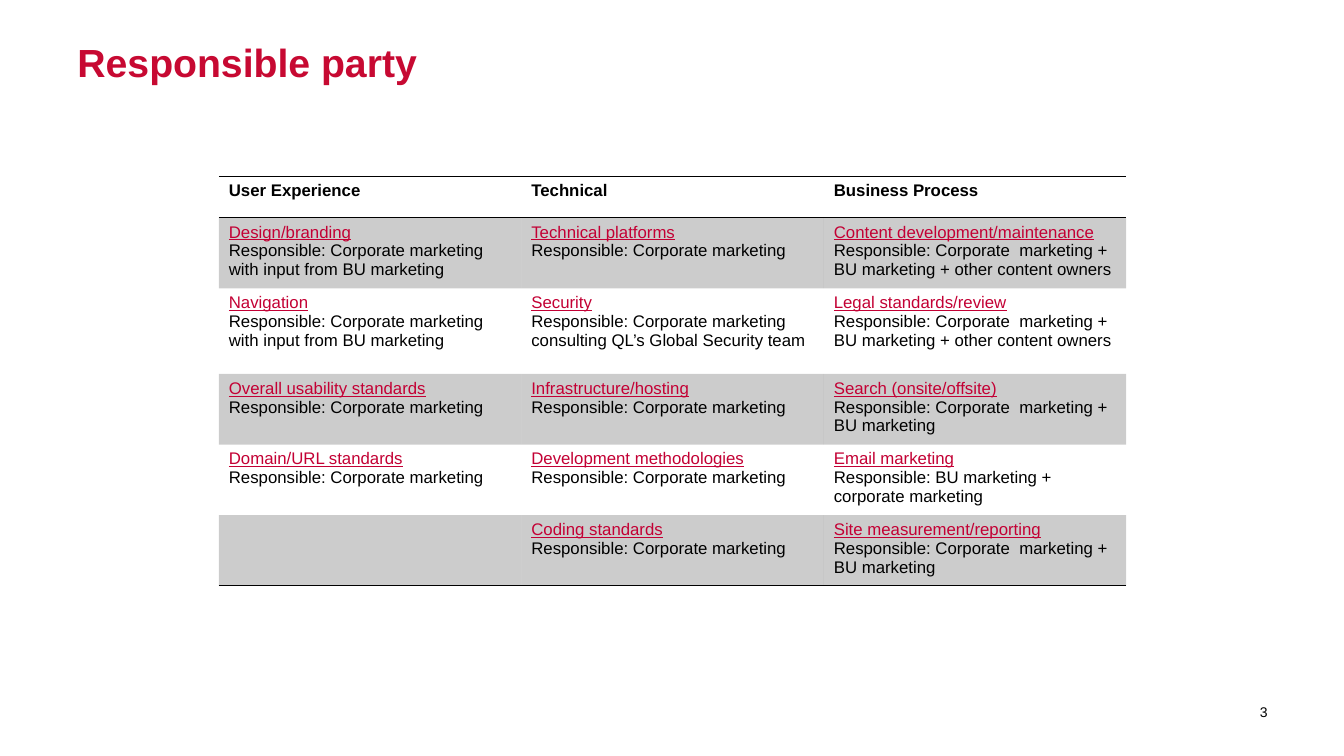
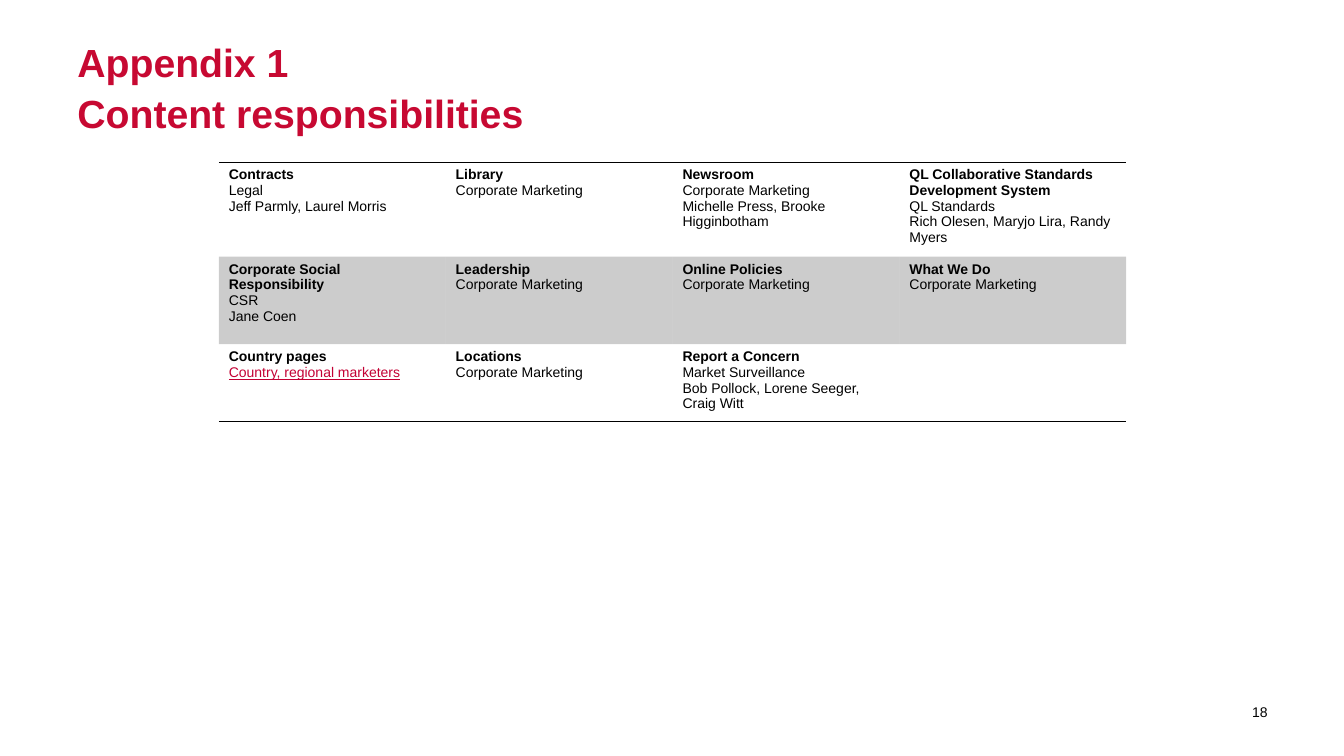
"""Build two slides of responsibility tables with a shared title, table and page number style."""
from lxml import etree
from pptx import Presentation
from pptx.dml.color import RGBColor
from pptx.enum.text import MSO_ANCHOR, PP_ALIGN
from pptx.oxml.ns import qn
from pptx.util import Inches, Pt

LEFT, RIGHT = PP_ALIGN.LEFT, PP_ALIGN.RIGHT
TOP, MIDDLE = MSO_ANCHOR.TOP, MSO_ANCHOR.MIDDLE
NO_STYLE = "{2D5ABB26-0587-4C30-8999-92F81FD0307C}"
THEME = {
    "font": "Arial",
    "title": RGBColor.from_string("C70932"),
    "link": RGBColor.from_string("C30034"),
    "ink": RGBColor.from_string("000000"),
    "band_alpha": 20,
    "rule": Pt(1),
    "title_size": 28,
    "page_size": 10,
}
TABLE_LEFT, TABLE_WIDTH = 2.17, 9

CORPORATE = "Responsible: Corporate marketing"
WITH_INPUT = CORPORATE + " with input from BU marketing"
WITH_BU = "Responsible: Corporate  marketing + BU marketing"
WITH_OWNERS = WITH_BU + " + other content owners"

# In cell text, "*" opens a bold line and "_" opens a link line.
SLIDES = [
    {
        "title": "Responsible party",
        "page": "3",
        "top": 1.75,
        "size": 12,
        "heights": [0.41, 0.66, 0.85, 0.66, 0.66, 0.66],
        "ruled_below": (0, 5),
        "rows": [
            [["*User Experience"], ["*Technical"], ["*Business Process"]],
            [["_Design/branding", WITH_INPUT],
             ["_Technical platforms", CORPORATE],
             ["_Content development/maintenance", WITH_OWNERS]],
            [["_Navigation", WITH_INPUT],
             ["_Security", CORPORATE + " consulting QL’s Global Security team"],
             ["_Legal standards/review", WITH_OWNERS]],
            [["_Overall usability standards", CORPORATE],
             ["_Infrastructure/hosting", CORPORATE],
             ["_Search (onsite/offsite)", WITH_BU]],
            [["_Domain/URL standards", CORPORATE],
             ["_Development methodologies", CORPORATE],
             ["_Email marketing", "Responsible: BU marketing + corporate marketing"]],
            [[],
             ["_Coding standards", CORPORATE],
             ["_Site measurement/reporting", WITH_BU]],
        ],
    },
    {
        "title": "Appendix 1\nContent responsibilities",
        "page": "18",
        "top": 1.61,
        "size": 10,
        "heights": [0.88, 0.87, 0.72],
        "ruled_below": (2,),
        "rows": [
            [["*Contracts", "Legal", "Jeff Parmly, Laurel Morris"],
             ["*Library", "Corporate Marketing"],
             ["*Newsroom", "Corporate Marketing", "Michelle Press, Brooke Higginbotham"],
             ["*QL Collaborative Standards Development System", "QL Standards",
              "Rich Olesen, Maryjo Lira, Randy Myers"]],
            [["*Corporate Social Responsibility", "CSR", "Jane Coen"],
             ["*Leadership", "Corporate Marketing"],
             ["*Online Policies", "Corporate Marketing"],
             ["*What We Do", "Corporate Marketing"]],
            [["*Country pages", "_Country, regional marketers"],
             ["*Locations", "Corporate Marketing"],
             ["*Report a Concern", "Market Surveillance",
              "Bob Pollock, Lorene Seeger, Craig Witt"],
             []],
        ],
    },
]


def write(tf, lines, size, color=THEME["ink"], align=LEFT, spacing=None):
    """Fill a text frame, reading the bold and link marks."""
    tf.text = "\n".join(line.lstrip("*_") for line in lines)
    for p, line in zip(tf.paragraphs, lines):
        p.alignment = align
        if spacing:
            p.line_spacing = spacing
        for r in p.runs:
            r.font.name = THEME["font"]
            r.font.size = Pt(size)
            r.font.bold = line.startswith("*")
            r.font.underline = line.startswith("_")
            r.font.color.rgb = THEME["link"] if line.startswith("_") else color


def add_rule(cell, side):
    """Draw a solid rule on one side of a cell."""
    ln = etree.SubElement(cell._tc.get_or_add_tcPr(), qn("a:" + side), w=str(THEME["rule"]))
    fill = etree.SubElement(ln, qn("a:solidFill"))
    etree.SubElement(fill, qn("a:srgbClr"), val=str(THEME["ink"]))


prs = Presentation()
prs.slide_width, prs.slide_height = Inches(13.33), Inches(7.5)

for data in SLIDES:
    s = prs.slides.add_slide(prs.slide_layouts[6])

    title_lines = ["*" + line for line in data["title"].split("\n")]
    labels = [
        ((0.67, 0.3, 12, 1.25), TOP, title_lines, THEME["title_size"], THEME["title"], LEFT, 1.07),
        ((11.73, 6.86, 0.94, 0.4), MIDDLE, [data["page"]], THEME["page_size"], THEME["ink"], RIGHT, None),
    ]
    for box, anchor, *text in labels:
        tf = s.shapes.add_textbox(*map(Inches, box)).text_frame
        tf.word_wrap = True
        tf.vertical_anchor = anchor
        write(tf, *text)

    rows, heights = data["rows"], data["heights"]
    columns = len(rows[0])
    frame = s.shapes.add_table(len(rows), columns, Inches(TABLE_LEFT), Inches(data["top"]),
                               Inches(TABLE_WIDTH), Inches(sum(heights)))
    table = frame.table
    table.first_row = table.horz_banding = False
    table._tbl.tblPr.find(qn("a:tableStyleId")).text = NO_STYLE
    for column in table.columns:
        column.width = Inches(TABLE_WIDTH / columns)

    for i, (row, height) in enumerate(zip(rows, heights)):
        table.rows[i].height = Inches(height)
        for j, lines in enumerate(row):
            cell = table.cell(i, j)
            write(cell.text_frame, lines, data["size"])
            if i == 0:
                add_rule(cell, "lnT")
            if i in data["ruled_below"]:
                add_rule(cell, "lnB")
            if i % 2:
                cell.fill.solid()
                cell.fill.fore_color.rgb = THEME["ink"]
                clr = cell._tc.tcPr.find(qn("a:solidFill")).find(qn("a:srgbClr"))
                etree.SubElement(clr, qn("a:alpha"), val=str(THEME["band_alpha"] * 1000))
            else:
                cell.fill.background()

prs.save("out.pptx")
